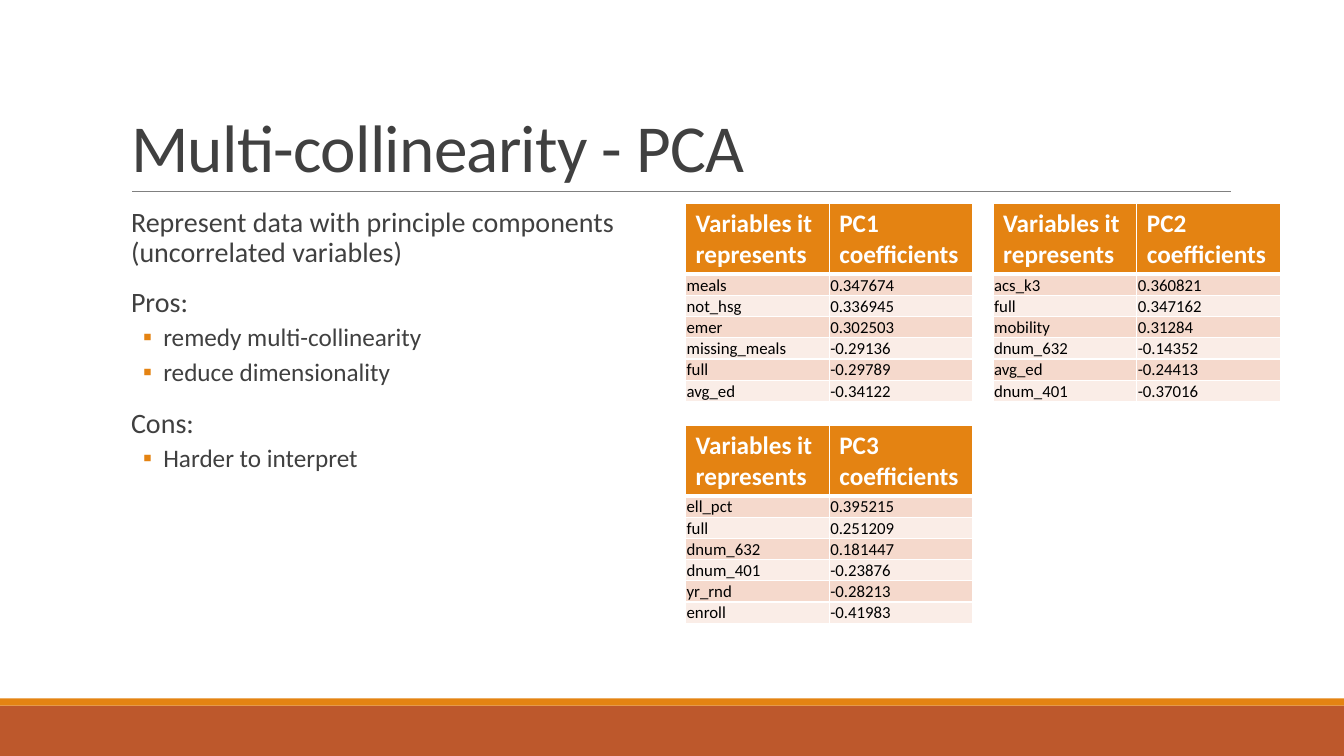
"""Build the slide on multi-collinearity and PCA."""
from pptx import Presentation
from pptx.dml.color import RGBColor
from pptx.enum.shapes import MSO_CONNECTOR as Line, MSO_SHAPE as Shape
from pptx.enum.text import MSO_ANCHOR as Anchor, MSO_AUTO_SIZE as Fit, PP_ALIGN as Align
from pptx.oxml import parse_xml
from pptx.oxml.ns import nsdecls
from pptx.util import Inches, Pt

WHITE = RGBColor(0xFF, 0xFF, 0xFF)
BLACK = RGBColor(0, 0, 0)
DARK = RGBColor(0x40, 0x40, 0x40)
GRAY = RGBColor(0x80, 0x80, 0x80)
ORANGE = RGBColor(0xE4, 0x83, 0x12)
RUST = RGBColor(0xBD, 0x58, 0x2C)
PEACH = RGBColor(0xF5, 0xD9, 0xCC)
PALE = RGBColor(0xFA, 0xED, 0xE7)


def add_run(para, text, size, color, bold=False):
    run = para.add_run()
    run.text = text
    font = run.font
    font.name, font.size, font.bold = "Calibri", Pt(size), bold
    font.color.rgb = color
    return run


def add_edge(cell, index, side, width):
    cell._tc.get_or_add_tcPr().insert(index, parse_xml(
        f'<a:{side} {nsdecls("a")} w="{Pt(width)}"><a:solidFill>'
        f'<a:srgbClr val="{WHITE}"/></a:solidFill></a:{side}>'))


prs = Presentation()
prs.slide_width, prs.slide_height = Inches(13.33), Inches(7.5)
slide = prs.slides.add_slide(prs.slide_layouts[5])
shapes = slide.shapes

for top, high, color in [(7, 0.5, RUST), (6.93, 0.07, ORANGE)]:
    bar = shapes.add_shape(Shape.RECTANGLE, 0, Inches(top), prs.slide_width, Inches(high))
    bar.shadow.inherit = False
    bar.fill.solid()
    bar.fill.fore_color.rgb = color
    bar.line.fill.background()

rule = shapes.add_connector(Line.STRAIGHT, Inches(1.31), Inches(1.9), Inches(12.21), Inches(1.9))
rule.line.color.rgb = GRAY
rule.line.width = Pt(0.5)
rule._element.spPr.append(parse_xml(f'<a:effectLst {nsdecls("a")}/>'))

title = shapes.title
title.left, title.top = Inches(1.2), Inches(0.31)
title.width, title.height = Inches(11), Inches(1.59)
frame = title.text_frame
frame.auto_size, frame.word_wrap = Fit.NONE, True
frame.vertical_anchor = Anchor.BOTTOM
para = frame.paragraphs[0]
para.alignment, para.line_spacing = Align.LEFT, 0.85
run = add_run(para, "Multi-collinearity - PCA", 48, DARK)
run.font._element.set("spc", "-50")

body = shapes.add_textbox(Inches(1.2), Inches(2.02), Inches(5.4), Inches(4.4))
frame = body.text_frame
frame.word_wrap = True
frame.margin_left = frame.margin_right = 0
points = [
    (0, "Represent data with principle components (uncorrelated variables)"),
    (0, "Pros:"),
    (1, "remedy multi-collinearity"),
    (1, "reduce dimensionality"),
    (0, "Cons:"),
    (1, "Harder to interpret"),
]
for num, (level, text) in enumerate(points):
    para = frame.paragraphs[0] if num == 0 else frame.add_paragraph()
    para.level, para.line_spacing = level, 0.9
    para.space_before, para.space_after = [(Pt(12), Pt(2)), (Pt(2), Pt(4))][level]
    props = para._p.get_or_add_pPr()
    props.set("marL", str(Inches([0.1, 0.42][level])))
    props.set("indent", str(Inches([0, -0.2][level])))
    if level:
        props.append(parse_xml(
            f'<a:buClr {nsdecls("a")}><a:srgbClr val="{ORANGE}"/></a:buClr>'))
        props.append(parse_xml(f'<a:buFont {nsdecls("a")} typeface="Calibri"/>'))
        props.append(parse_xml(f'<a:buChar {nsdecls("a")} char="▪"/>'))
    add_run(para, text, [20, 18][level], DARK)

tables = [
    (6.8, 2.02, "PC1", [
        ("meals", "0.347674"), ("not_hsg", "0.336945"), ("emer", "0.302503"),
        ("missing_meals", "-0.29136"), ("full", "-0.29789"), ("avg_ed", "-0.34122")]),
    (9.85, 2.02, "PC2", [
        ("acs_k3", "0.360821"), ("full", "0.347162"), ("mobility", "0.31284"),
        ("dnum_632", "-0.14352"), ("avg_ed", "-0.24413"), ("dnum_401", "-0.37016")]),
    (6.8, 4.22, "PC3", [
        ("ell_pct", "0.395215"), ("full", "0.251209"), ("dnum_632", "0.181447"),
        ("dnum_401", "-0.23876"), ("yr_rnd", "-0.28213"), ("enroll", "-0.41983")]),
]
for left, top, name, data in tables:
    rows = [("Variables it represents", f"{name} coefficients")] + data
    table = shapes.add_table(len(rows), 2, Inches(left), Inches(top),
                             Inches(2.85), Inches(1.96)).table
    for r, row in enumerate(rows):
        table.rows[r].height = Inches(0.21 if r else 0.69)
        for c, text in enumerate(row):
            cell = table.cell(r, c)
            cell.fill.solid()
            cell.fill.fore_color.rgb = (PEACH if r % 2 else PALE) if r else ORANGE
            if r:
                cell.vertical_anchor = Anchor.BOTTOM
                cell.margin_left = cell.margin_right = cell.margin_top = Inches(0.01)
                cell.margin_bottom = 0
            para = cell.text_frame.paragraphs[0]
            add_run(para, text, 12 if r else 18, BLACK if r else WHITE, r == 0)
            widths = [1, 1, 3 if r == 1 else 1, 1 if r else 3]
            for index, side in enumerate(["lnL", "lnR", "lnT", "lnB"]):
                add_edge(cell, index, side, widths[index])

prs.save("out.pptx")
